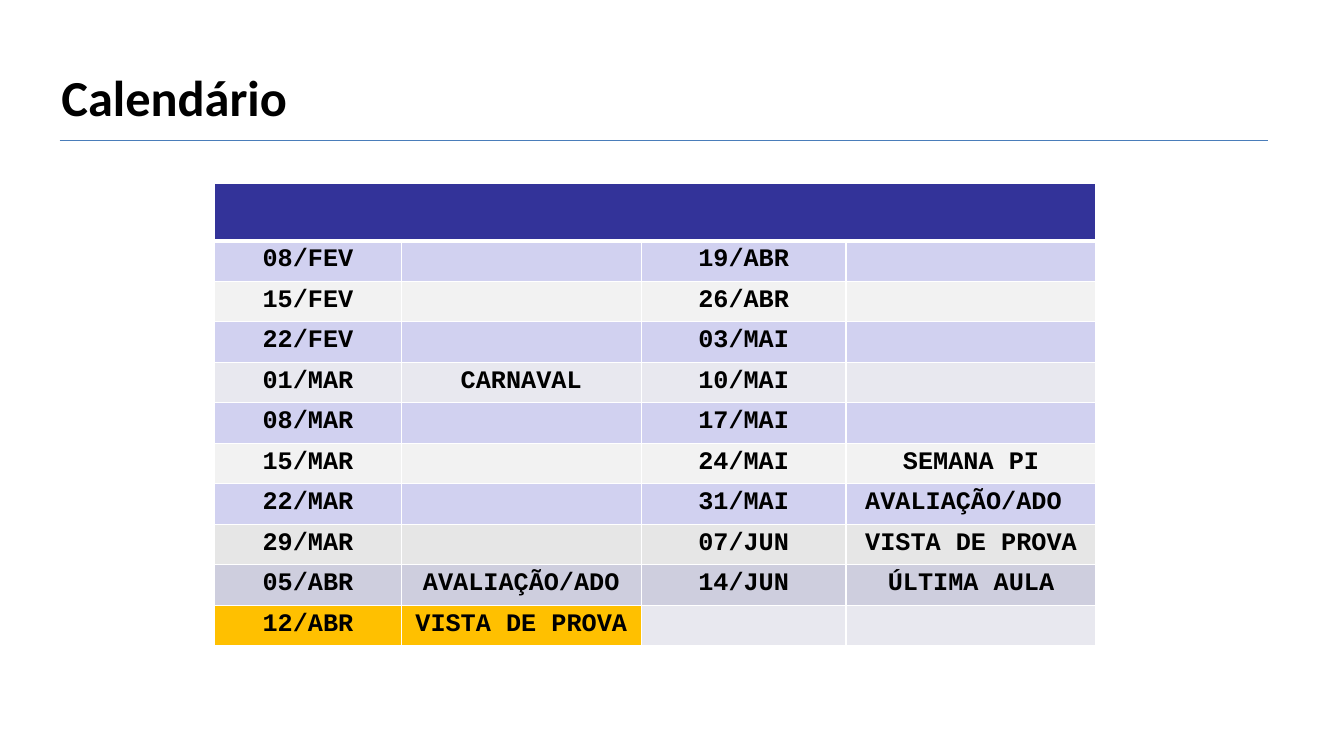
from lxml.etree import SubElement
from pptx import Presentation
from pptx.dml.color import RGBColor
from pptx.enum.shapes import MSO_CONNECTOR
from pptx.enum.text import MSO_ANCHOR, PP_ALIGN
from pptx.oxml.ns import qn
from pptx.util import Cm, Pt

BLACK = RGBColor(0x00, 0x00, 0x00)
WHITE = RGBColor(0xFF, 0xFF, 0xFF)
BLUE = RGBColor(0x4A, 0x7D, 0xBA)
NAVY = RGBColor(0x33, 0x33, 0x99)
LILAC = RGBColor(0xD1, 0xD1, 0xF0)
PALE_GREY = RGBColor(0xF2, 0xF2, 0xF2)
BLUE_GREY = RGBColor(0xE8, 0xE8, 0xEF)
GREY = RGBColor(0xE6, 0xE6, 0xE6)
DARK_LILAC = RGBColor(0xCE, 0xCE, 0xDE)
AMBER = RGBColor(0xFF, 0xC0, 0x00)

TITLE_FORMAT = {"name": "Calibri", "size": Pt(36), "bold": True}
CELL_FORMAT = {"name": "Courier New", "size": Pt(18), "bold": True}

COLUMN_WIDTHS = [4.7, 6.05, 5.16, 6.3]
HEADER_HEIGHT, ROW_HEIGHT = 1.45, 1.02

# Fill of the left pair of cells, fill of the right pair, then the four texts
CALENDAR = [
    (LILAC, LILAC, ["08/FEV", "", "19/ABR", ""]),
    (PALE_GREY, PALE_GREY, ["15/FEV", "", "26/ABR", ""]),
    (LILAC, LILAC, ["22/FEV", "", "03/MAI", ""]),
    (BLUE_GREY, BLUE_GREY, ["01/MAR", "CARNAVAL", "10/MAI", ""]),
    (LILAC, LILAC, ["08/MAR", "", "17/MAI", ""]),
    (PALE_GREY, PALE_GREY, ["15/MAR", "", "24/MAI", "SEMANA PI"]),
    (LILAC, LILAC, ["22/MAR", "", "31/MAI", "AVALIAÇÃO/ADO "]),
    (GREY, GREY, ["29/MAR", "", "07/JUN", "VISTA DE PROVA"]),
    (DARK_LILAC, DARK_LILAC, ["05/ABR", "AVALIAÇÃO/ADO", "14/JUN", "ÚLTIMA AULA"]),
    (AMBER, BLUE_GREY, ["12/ABR", "VISTA DE PROVA", "", ""]),
]


class SlideBuilder:
    def __init__(self, slide, text_color, border_color):
        self.slide = slide
        self.text_color = text_color
        self.border_color = border_color

    def styled_run(self, paragraph, text, font_format):
        run = paragraph.add_run()
        run.text = text
        for attribute, value in font_format.items():
            setattr(run.font, attribute, value)
        run.font.color.rgb = self.text_color

    def title(self, text, left, top, width, height):
        shape = self.slide.shapes.add_textbox(Cm(left), Cm(top), Cm(width), Cm(height))
        frame = shape.text_frame
        frame.word_wrap = True
        frame.vertical_anchor = MSO_ANCHOR.MIDDLE
        self.styled_run(frame.paragraphs[0], text, TITLE_FORMAT)

    def rule(self, left, right, y, color):
        connector = self.slide.shapes.add_connector(
            MSO_CONNECTOR.STRAIGHT, Cm(left), Cm(y), Cm(right), Cm(y))
        connector.line.color.rgb = color
        connector.line.width = Pt(0.75)
        SubElement(connector._element.spPr, qn("a:effectLst"))

    def borders(self, cell, bottom_width):
        properties = cell._tc.get_or_add_tcPr()
        for side, width in (("L", 1), ("R", 1), ("T", 1), ("B", bottom_width)):
            line = SubElement(properties, qn(f"a:ln{side}"), w=str(Pt(width)))
            fill = SubElement(line, qn("a:solidFill"))
            SubElement(fill, qn("a:srgbClr"), val=str(self.border_color))

    def cell(self, cell, text, fill_color, bottom_width=1):
        self.borders(cell, bottom_width)
        cell.fill.solid()
        cell.fill.fore_color.rgb = fill_color
        paragraph = cell.text_frame.paragraphs[0]
        paragraph.alignment = PP_ALIGN.CENTER
        self.styled_run(paragraph, text, CELL_FORMAT)

    def calendar(self, left, top, rows):
        height = HEADER_HEIGHT + ROW_HEIGHT * len(rows)
        table = self.slide.shapes.add_table(
            len(rows) + 1, len(COLUMN_WIDTHS), Cm(left), Cm(top),
            Cm(sum(COLUMN_WIDTHS)), Cm(height)).table
        for column, width in zip(table.columns, COLUMN_WIDTHS):
            column.width = Cm(width)
        for index, row in enumerate(table.rows):
            row.height = Cm(ROW_HEIGHT if index else HEADER_HEIGHT)

        for header_cell in table.rows[0].cells:
            self.cell(header_cell, "", NAVY, bottom_width=3)
        table.cell(0, 0).merge(table.cell(0, len(COLUMN_WIDTHS) - 1))

        for row_index, (left_fill, right_fill, texts) in enumerate(rows, start=1):
            for column_index, text in enumerate(texts):
                fill_color = left_fill if column_index < 2 else right_fill
                self.cell(table.cell(row_index, column_index), text, fill_color)


def main():
    presentation = Presentation()
    presentation.slide_width = Cm(33.87)
    presentation.slide_height = Cm(19.05)
    slide = presentation.slides.add_slide(presentation.slide_layouts[6])
    builder = SlideBuilder(slide, BLACK, WHITE)
    builder.title("Calendário", 1.3, 1.52, 22.83, 1.8)
    builder.rule(1.5, 31.95, 3.53, BLUE)
    builder.calendar(5.41, 4.62, CALENDAR)
    presentation.save("out.pptx")


if __name__ == "__main__":
    main()
